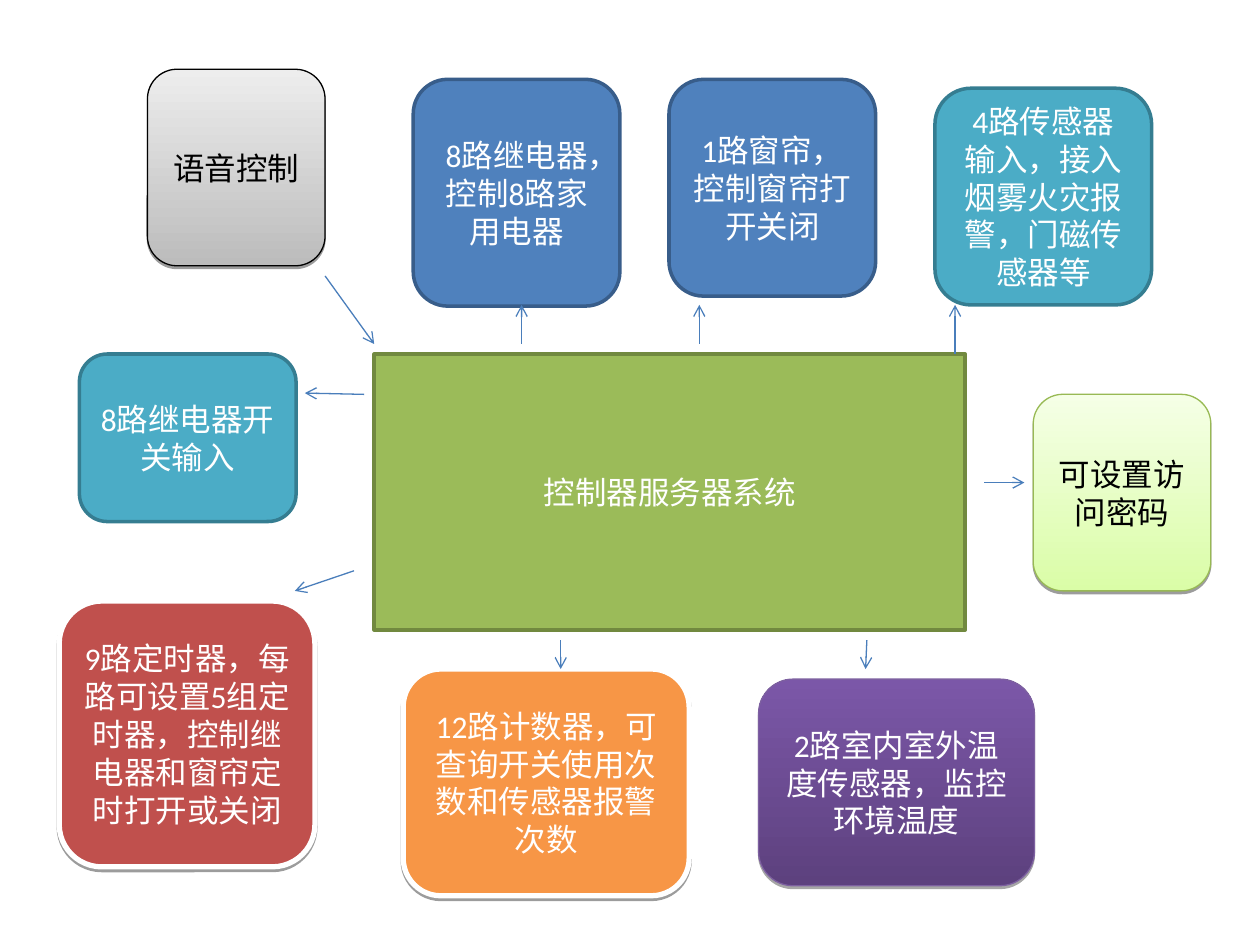
"""Build a slide showing a controller server system and its surrounding functions."""
from lxml import etree
from pptx import Presentation
from pptx.dml.color import RGBColor
from pptx.enum.shapes import MSO_CONNECTOR, MSO_SHAPE
from pptx.enum.text import MSO_ANCHOR, PP_ALIGN
from pptx.oxml.ns import qn
from pptx.util import Pt

PX = 9144
RECTANGLE = MSO_SHAPE.RECTANGLE
ROUNDED = MSO_SHAPE.ROUNDED_RECTANGLE
STRAIGHT = MSO_CONNECTOR.STRAIGHT
MIDDLE = MSO_ANCHOR.MIDDLE
CENTER = PP_ALIGN.CENTER

WHITE = RGBColor(0xFF, 0xFF, 0xFF)
BLACK = RGBColor(0x00, 0x00, 0x00)
GREEN = RGBColor(0x9B, 0xBB, 0x59)
DARK_GREEN = RGBColor(0x71, 0x89, 0x3F)
BLUE = RGBColor(0x4F, 0x81, 0xBD)
DARK_BLUE = RGBColor(0x38, 0x5D, 0x8A)
ARROW_BLUE = RGBColor(0x4A, 0x7E, 0xBB)
TEAL = RGBColor(0x4B, 0xAC, 0xC6)
DARK_TEAL = RGBColor(0x35, 0x7D, 0x91)
RED = RGBColor(0xC0, 0x50, 0x4D)
ORANGE = RGBColor(0xF7, 0x96, 0x46)
PURPLE_LINE = RGBColor(0x7D, 0x60, 0xA0)
LIME_LINE = RGBColor(0x98, 0xB9, 0x54)
PURPLES = (RGBColor(0x5D, 0x41, 0x7E), RGBColor(0x7B, 0x57, 0xA8))
LIMES = (RGBColor(0xDA, 0xFD, 0xA7), RGBColor(0xF5, 0xFF, 0xE6))
GRAYS = (RGBColor(0xBC, 0xBC, 0xBC), RGBColor(0xED, 0xED, 0xED))

deck = Presentation()
deck.slide_width, deck.slide_height = 1000 * PX, 750 * PX
page = deck.slides.add_slide(deck.slide_layouts[6])


def add_box(kind, bounds, text, fills, outline, weight, ink, shadow_alpha):
    box = page.shapes.add_shape(kind, *(length * PX for length in bounds))
    if len(fills) == 1:
        box.fill.solid()
        box.fill.fore_color.rgb = fills[0]
    else:
        box.fill.gradient()
        box.fill.gradient_angle = 90
        for stop, color in zip(box.fill.gradient_stops, fills):
            stop.color.rgb = color
    box.line.color.rgb = outline
    box.line.width = Pt(weight)
    box.shadow.inherit = False
    if shadow_alpha:
        effects = box._element.spPr.find(qn("a:effectLst"))
        shadow = etree.SubElement(effects, qn("a:outerShdw"), blurRad="0", dist=str(Pt(1.6)),
                                  dir="5400000", algn="ctr", rotWithShape="0")
        color = etree.SubElement(shadow, qn("a:srgbClr"), val=str(BLACK))
        etree.SubElement(color, qn("a:alpha"), val=str(shadow_alpha * 1000))
    frame = box.text_frame
    frame.word_wrap = True
    frame.vertical_anchor = MIDDLE
    para = frame.paragraphs[0]
    para.text = text
    para.alignment = CENTER
    para.font.name = "Calibri"
    para.font.size = Pt(18)
    para.font.color.rgb = ink


def add_arrow(ends):
    arrow = page.shapes.add_connector(STRAIGHT, *(length * PX for length in ends))
    arrow.line.color.rgb = ARROW_BLUE
    arrow.line.width = Pt(0.75)
    etree.SubElement(arrow.line._get_or_add_ln(), qn("a:tailEnd"), type="arrow")
    etree.SubElement(arrow._element.spPr, qn("a:effectLst"))


add_box(RECTANGLE, (297, 281, 469, 219), "控制器服务器系统", (GREEN,), DARK_GREEN, 2, WHITE, 0)

functions = [
    ((328, 63, 164, 180), "8路继电器，控制8路家用电器",
     (BLUE,), DARK_BLUE, 2, WHITE, 0, (414, 273, 414, 242)),
    ((531, 63, 164, 172), "1路窗帘，控制窗帘打开关闭",
     (BLUE,), DARK_BLUE, 2, WHITE, 0, (555, 273, 555, 242)),
    ((63, 281, 172, 133), "8路继电器开关输入",
     (TEAL,), DARK_TEAL, 2, WHITE, 0, (289, 313, 242, 312)),
    ((742, 70, 172, 172), "4路传感器输入，接入烟雾火灾报警，门磁传感器等",
     (TEAL,), DARK_TEAL, 2, WHITE, 0, (758, 281, 758, 242)),
    ((47, 477, 203, 211), "9路定时器，每路可设置5组定时器，控制继电器和窗帘定时打开或关闭",
     (RED,), WHITE, 3, WHITE, 38, (281, 453, 234, 469)),
    ((320, 531, 227, 180), "12路计数器，可查询开关使用次数和传感器报警次数",
     (ORANGE,), WHITE, 3, WHITE, 38, (445, 508, 445, 531)),
    ((602, 539, 219, 164), "2路室内室外温度传感器，监控环境温度",
     PURPLES, PURPLE_LINE, 0.75, WHITE, 35, (688, 508, 687, 531)),
    ((820, 313, 141, 156), "可设置访问密码",
     LIMES, LIME_LINE, 0.75, BLACK, 38, (781, 383, 813, 383)),
    ((117, 55, 141, 156), "语音控制",
     GRAYS, BLACK, 0.75, BLACK, 38, (258, 219, 297, 273)),
]
for *box_style, arrow_ends in functions:
    add_box(ROUNDED, *box_style)
    add_arrow(arrow_ends)

deck.save("out.pptx")
